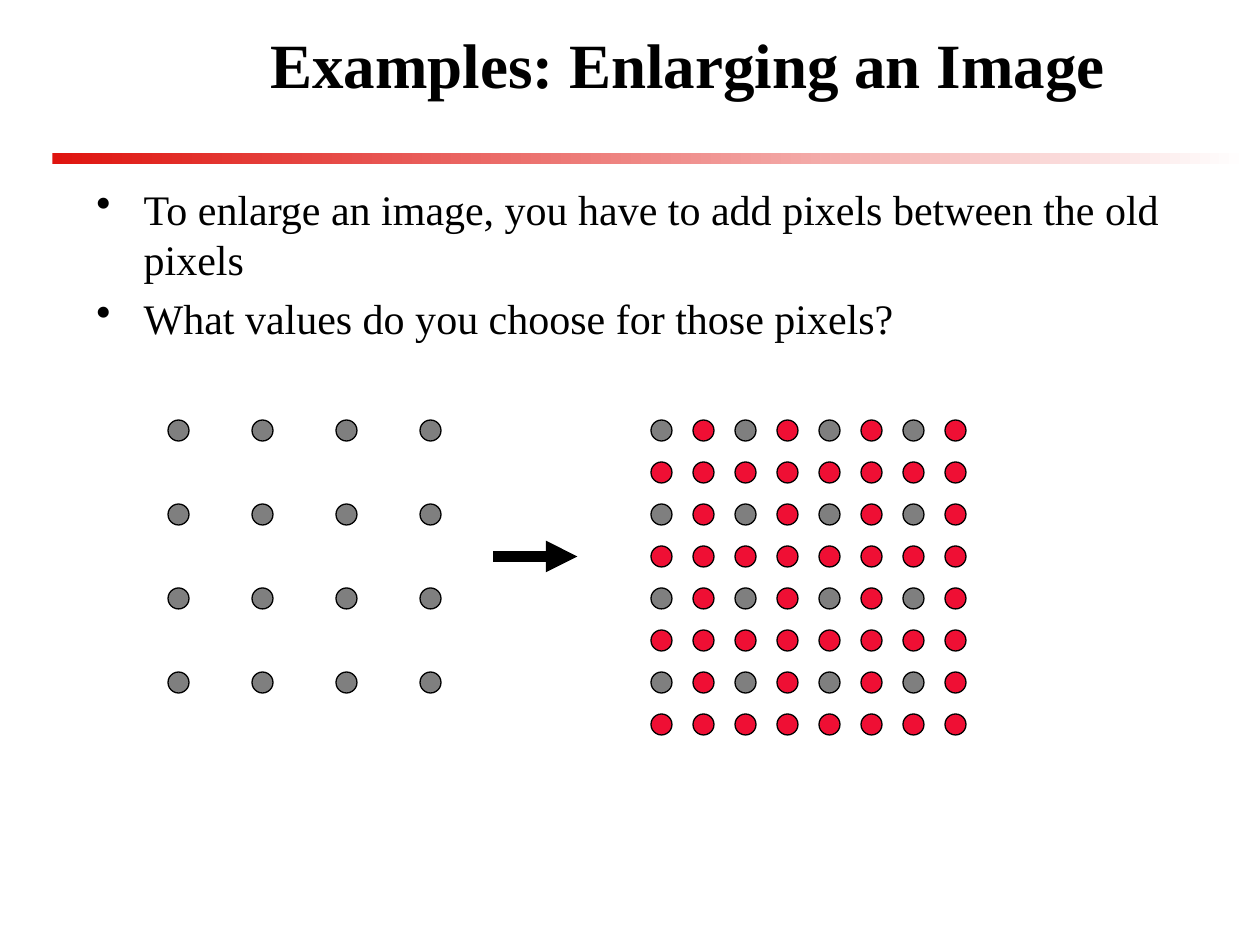
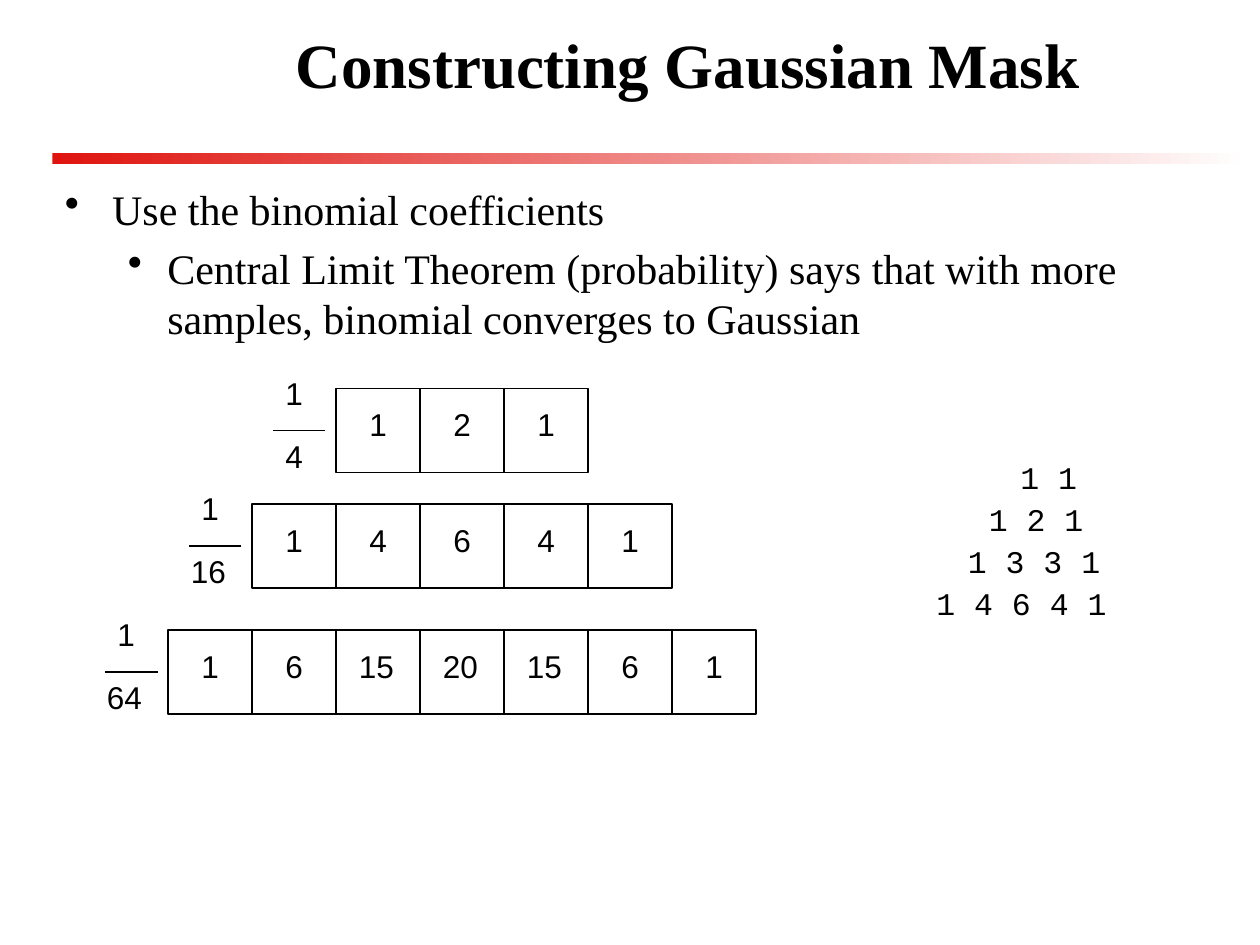
from lxml.etree import SubElement
from pptx import Presentation
from pptx.dml.color import RGBColor
from pptx.enum.shapes import MSO_CONNECTOR, MSO_SHAPE
from pptx.enum.text import MSO_ANCHOR, MSO_AUTO_SIZE, PP_ALIGN
from pptx.oxml.ns import qn
from pptx.util import Pt

BLACK = RGBColor(0x00, 0x00, 0x00)
WHITE = RGBColor(0xFF, 0xFF, 0xFF)
GRAY = RGBColor(0x7F, 0x7F, 0x7F)
RED = RGBColor(0xEF, 0x0F, 0x34)
BAND_RED = RGBColor(0xDF, 0x14, 0x0F)

SERIF, SANS, MONO = "Times New Roman", "Arial", "Courier New"
TITLE = {"name": SERIF, "size": Pt(36), "bold": True}
BODY = {"name": SERIF, "size": Pt(24)}
NUMBER = {"name": SANS, "size": Pt(18)}
CODE = {"name": MONO, "size": Pt(18)}
INDENTS = [(27, -27), (58.5, -22.5)]
THIN = 0.75
DOT = 12
CELL = 48


def apply(target, values):
    for name, value in values.items():
        setattr(target, name, value)


class Deck:
    """Builds slides in one shared style, with all lengths in points."""

    def __init__(self):
        self.prs = Presentation()
        apply(self.prs, {"slide_width": Pt(720), "slide_height": Pt(540)})

    def slide(self, title):
        self.s = self.prs.slides.add_slide(self.prs.slide_layouts[6])
        self.band()
        tf = self.box(84, 6, 618, 60, word_wrap=True, vertical_anchor=MSO_ANCHOR.MIDDLE)
        tf.paragraphs[0].alignment = PP_ALIGN.CENTER
        self.run(tf.paragraphs[0], title, TITLE)

    def shape(self, kind, x, y, w, h):
        sp = self.s.shapes.add_shape(kind, Pt(x), Pt(y), Pt(w), Pt(h))
        sp.shadow.inherit = False
        return sp

    def outline(self, sp, width=THIN):
        sp.line.color.rgb = BLACK
        sp.line.width = Pt(width)

    def band(self):
        sp = self.shape(MSO_SHAPE.RECTANGLE, 30, 87.5, 684, 6)
        sp.line.fill.background()
        sp.fill.gradient()
        sp.fill.gradient_angle = 0
        for stop, position, color in zip(sp.fill.gradient_stops, (0, 1), (BAND_RED, WHITE)):
            stop.position = position
            stop.color.rgb = color

    def box(self, x, y, w, h, **frame):
        tf = self.s.shapes.add_textbox(Pt(x), Pt(y), Pt(w), Pt(h)).text_frame
        apply(tf, frame)
        return tf

    def run(self, p, text, style):
        r = p.add_run()
        r.text = text
        apply(r.font, style)
        r.font.color.rgb = BLACK

    def bullets(self, x, y, w, h, items):
        tf = self.box(x, y, w, h, word_wrap=True, margin_top=Pt(8.6))
        for i, (level, text) in enumerate(items):
            p = tf.add_paragraph() if i else tf.paragraphs[0]
            p.level = level
            if i:
                p.space_before = Pt(5)
            margin, indent = INDENTS[level]
            pPr = p._p.get_or_add_pPr()
            pPr.set("marL", str(Pt(margin)))
            pPr.set("indent", str(Pt(indent)))
            SubElement(pPr, qn("a:buChar")).set("char", "•")
            self.run(p, text, BODY)

    def label(self, x, y, w, text, style):
        tf = self.box(x, y, w, 36, word_wrap=False, auto_size=MSO_AUTO_SIZE.SHAPE_TO_FIT_TEXT)
        self.run(tf.paragraphs[0], text, style)

    def number(self, x, y, value):
        text = str(value)
        self.label(x - 6 * (len(text) - 1), y, 14.6 + 12 * len(text), text, NUMBER)

    def line(self, x1, x2, y, width=THIN, arrow=False):
        c = self.s.shapes.add_connector(MSO_CONNECTOR.STRAIGHT, Pt(x1), Pt(y), Pt(x2), Pt(y))
        self.outline(c, width)
        if arrow:
            SubElement(c.line._get_or_add_ln(), qn("a:tailEnd")).set("type", "triangle")
        SubElement(c._element.spPr, qn("a:effectLst"))

    def pixels(self, x, y, count, step, is_old):
        for row in range(count):
            for col in range(count):
                sp = self.shape(MSO_SHAPE.OVAL, x + col * step, y + row * step, DOT, DOT)
                sp.fill.solid()
                sp.fill.fore_color.rgb = GRAY if is_old(row, col) else RED
                self.outline(sp)

    def mask(self, x, y, divisor, weights):
        self.line(x - 36, x - 6, y + 24)
        self.number(x - 36, y - 12, 1)
        self.number(x - 36, y + 24, divisor)
        for i, weight in enumerate(weights):
            left = x + i * CELL
            sp = self.shape(MSO_SHAPE.RECTANGLE, left, y, CELL, CELL)
            sp.fill.background()
            self.outline(sp)
            self.number(left + 12, y + 6, weight)


def enlarging(deck):
    deck.slide("Examples: Enlarging an Image")
    deck.bullets(48, 96, 636, 114, [
        (0, "To enlarge an image, you have to add pixels between the old pixels"),
        (0, "What values do you choose for those pixels?"),
    ])
    deck.pixels(96, 240, 4, 48, lambda row, col: True)
    deck.line(282, 330, 318, width=6, arrow=True)
    deck.pixels(372, 240, 8, 24, lambda row, col: row % 2 == 0 and col % 2 == 0)


def gaussian_mask(deck):
    deck.slide("Constructing Gaussian Mask")
    deck.bullets(30, 96, 672, 384, [
        (0, "Use the binomial coefficients"),
        (1, "Central Limit Theorem (probability) says that with more samples, "
            "binomial converges to Gaussian"),
    ])
    deck.mask(192, 222, 4, [1, 2, 1])
    deck.mask(144, 288, 16, [1, 4, 6, 4, 1])
    deck.mask(96, 360, 64, [1, 6, 15, 20, 15, 6, 1])
    triangle = [(576, "1 1"), (558, "1 2 1"), (546, "1 3 3 1"), (528, "1 4 6 4 1")]
    for i, (x, text) in enumerate(triangle):
        deck.label(x, 258 + 24 * i, 14.4 * (len(text) + 1), text, CODE)


def main():
    deck = Deck()
    enlarging(deck)
    gaussian_mask(deck)
    deck.prs.save("out.pptx")


if __name__ == "__main__":
    main()
